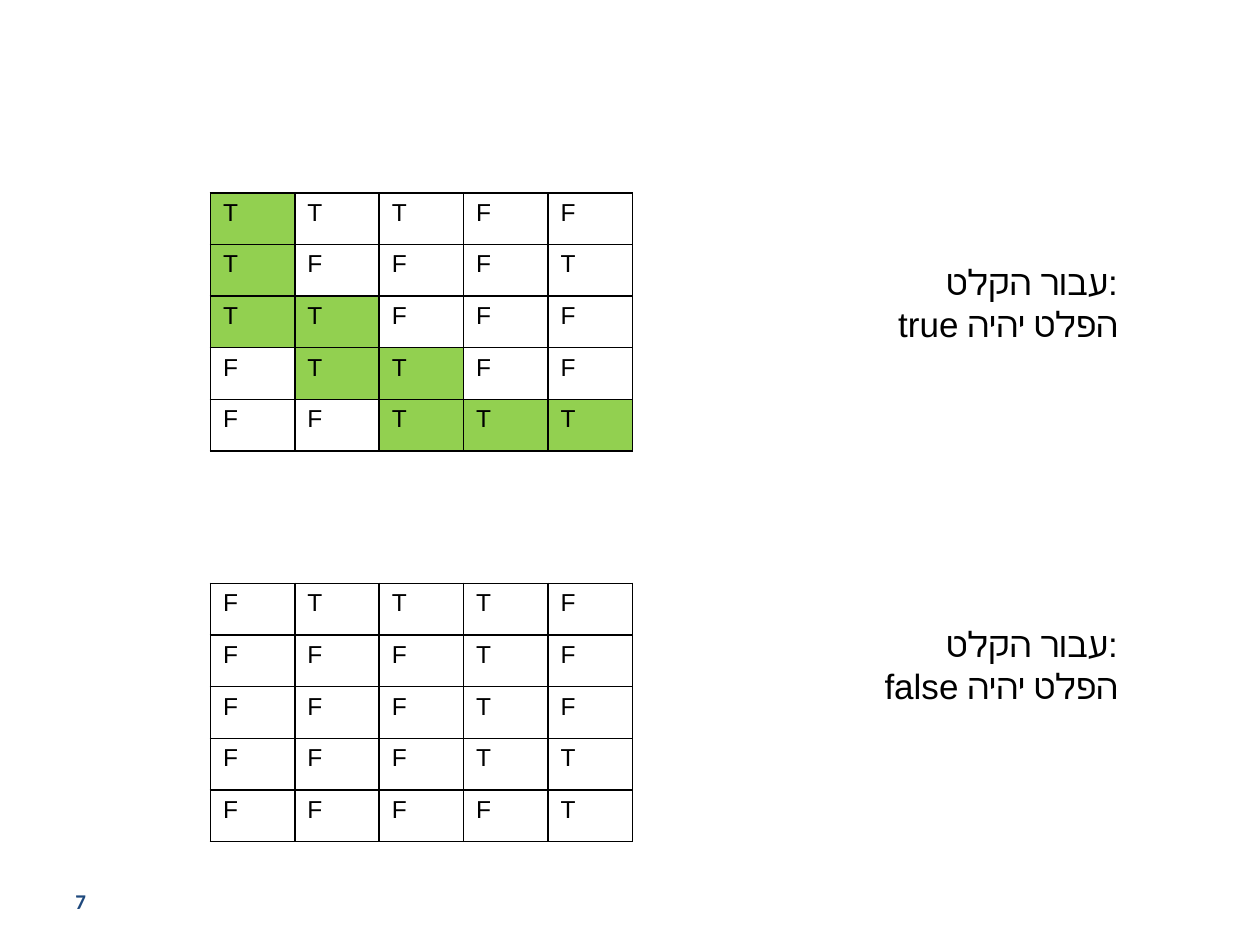
from lxml.etree import SubElement
from pptx import Presentation
from pptx.dml.color import RGBColor
from pptx.enum.text import MSO_ANCHOR, PP_ALIGN
from pptx.oxml.ns import qn
from pptx.util import Inches, Pt

BLACK, NAVY, GREEN = "000000", "1F497D", "92D050"
COLUMN_WIDTH, ROW_HEIGHT = 0.67, 0.41

TRUE_INPUT = ["TTTFF", "TFFFT", "TTFFF", "FTTFF", "FFTTT"]
TRUE_PATH = {(0, 0), (1, 0), (2, 0), (2, 1), (3, 1), (3, 2), (4, 2), (4, 3), (4, 4)}
FALSE_INPUT = ["FTTTF", "FFFTF", "FFFTF", "FFFTT", "FFFFT"]


def color(value):
    return RGBColor.from_string(value)


def style_font(paragraph, size, name="Arial", ink=BLACK, bold=False):
    font = paragraph.font
    font.size, font.name, font.bold = Pt(size), name, bold
    font.color.rgb = color(ink)


def add_borders(cell):
    properties = cell._tc.get_or_add_tcPr()
    for side in ("a:lnL", "a:lnR", "a:lnT", "a:lnB"):
        line = SubElement(properties, qn(side), w=str(Pt(1)))
        fill = SubElement(line, qn("a:solidFill"))
        SubElement(fill, qn("a:srgbClr"), val=BLACK)


def add_matrix(slide, top, rows, path=()):
    """Draw a table of T and F values, with the cells on the path in green."""
    row_count, column_count = len(rows), len(rows[0])
    matrix = slide.shapes.add_table(
        row_count, column_count, Inches(1.67), Inches(top),
        Inches(COLUMN_WIDTH * column_count), Inches(ROW_HEIGHT * row_count)).table
    matrix.first_row = matrix.horz_banding = False
    for row, values in enumerate(rows):
        for column, value in enumerate(values):
            cell = matrix.cell(row, column)
            cell.text = value
            style_font(cell.text_frame.paragraphs[0], 14)
            add_borders(cell)
            if (row, column) in path:
                cell.fill.solid()
                cell.fill.fore_color.rgb = color(GREEN)
            else:
                cell.fill.background()


def add_text_frame(slide, left, top, width, height):
    box = slide.shapes.add_textbox(
        Inches(left), Inches(top), Inches(width), Inches(height))
    box.text_frame.word_wrap = True
    return box.text_frame


def add_caption(slide, top, result):
    frame = add_text_frame(slide, 5.55, top, 3.42, 0.77)
    frame.text = f"עבור הקלט:\nהפלט יהיה {result}"
    for paragraph in frame.paragraphs:
        paragraph.alignment = PP_ALIGN.RIGHT
        style_font(paragraph, 20)
    frame.paragraphs[1]._p.get_or_add_pPr().set("rtl", "1")


def add_page_number(slide, number):
    frame = add_text_frame(slide, 0.5, 6.95, 2.33, 0.4)
    frame.vertical_anchor = MSO_ANCHOR.MIDDLE
    frame.text = number
    style_font(frame.paragraphs[0], 12, "Calibri", NAVY, bold=True)


def main():
    presentation = Presentation()
    presentation.slide_width, presentation.slide_height = Inches(10), Inches(7.5)
    slide = presentation.slides.add_slide(presentation.slide_layouts[6])
    add_page_number(slide, "7")
    add_matrix(slide, 1.53, TRUE_INPUT, TRUE_PATH)
    add_caption(slide, 2.02, "true")
    add_matrix(slide, 4.63, FALSE_INPUT)
    add_caption(slide, 4.89, "false")
    presentation.save("out.pptx")


if __name__ == "__main__":
    main()
